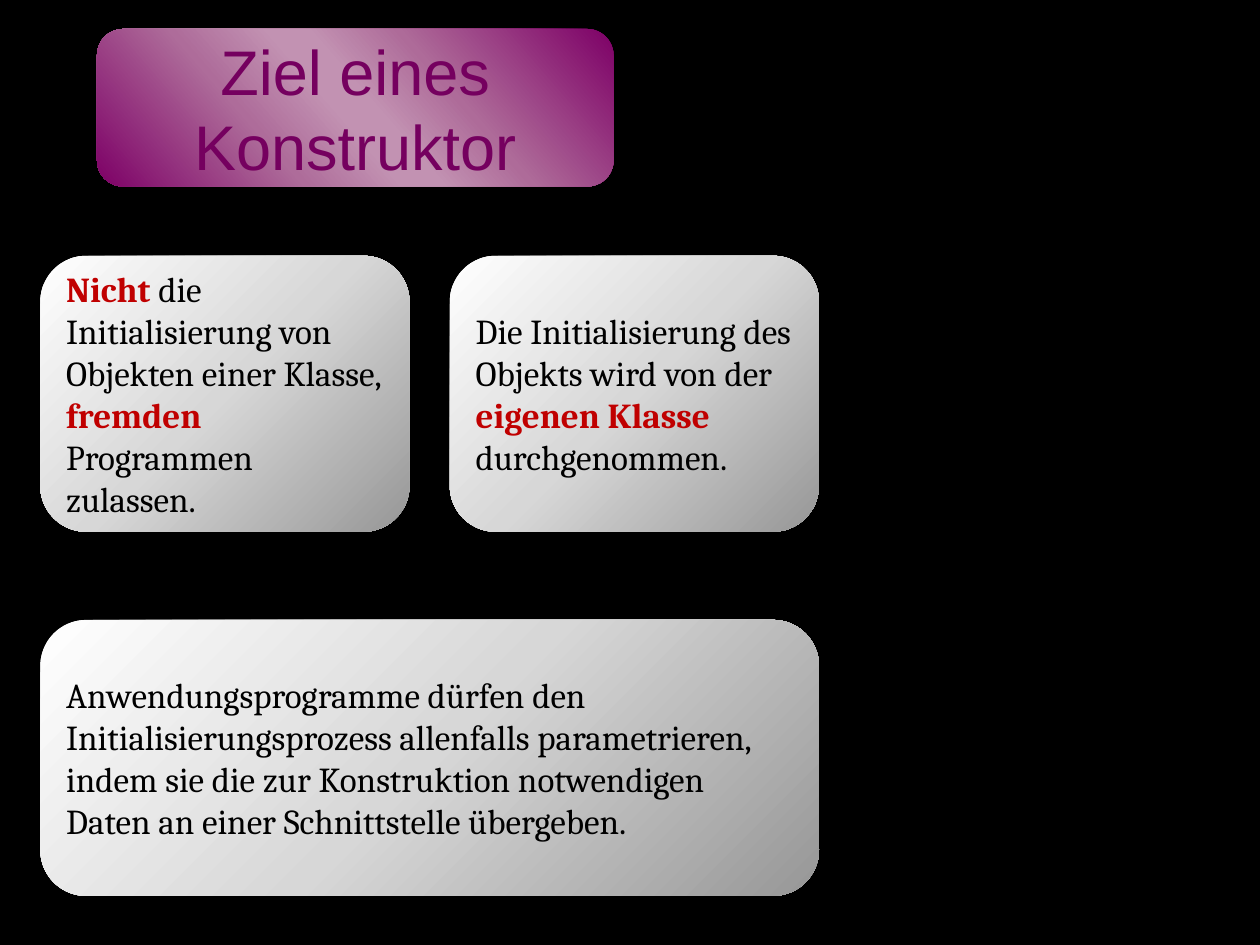
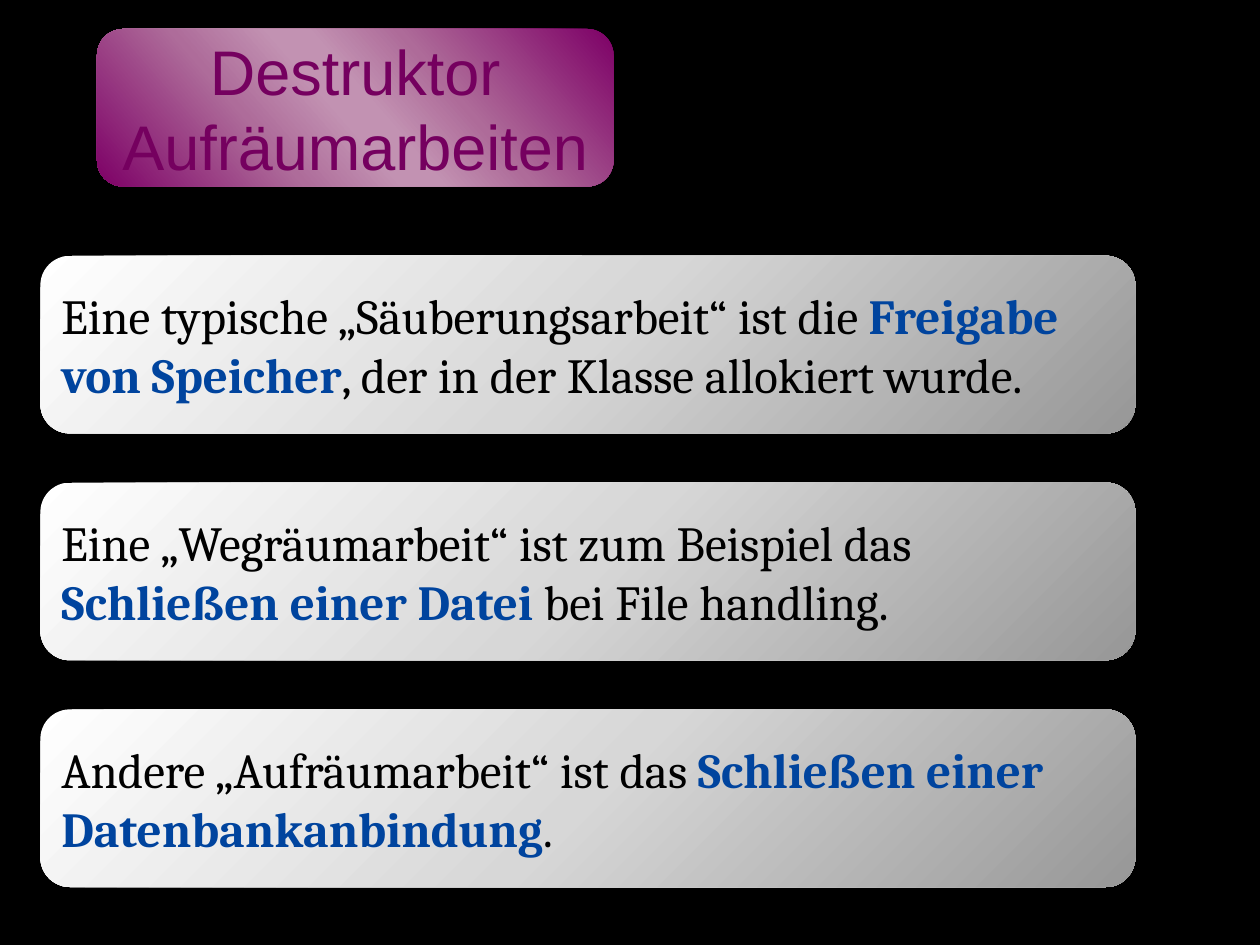
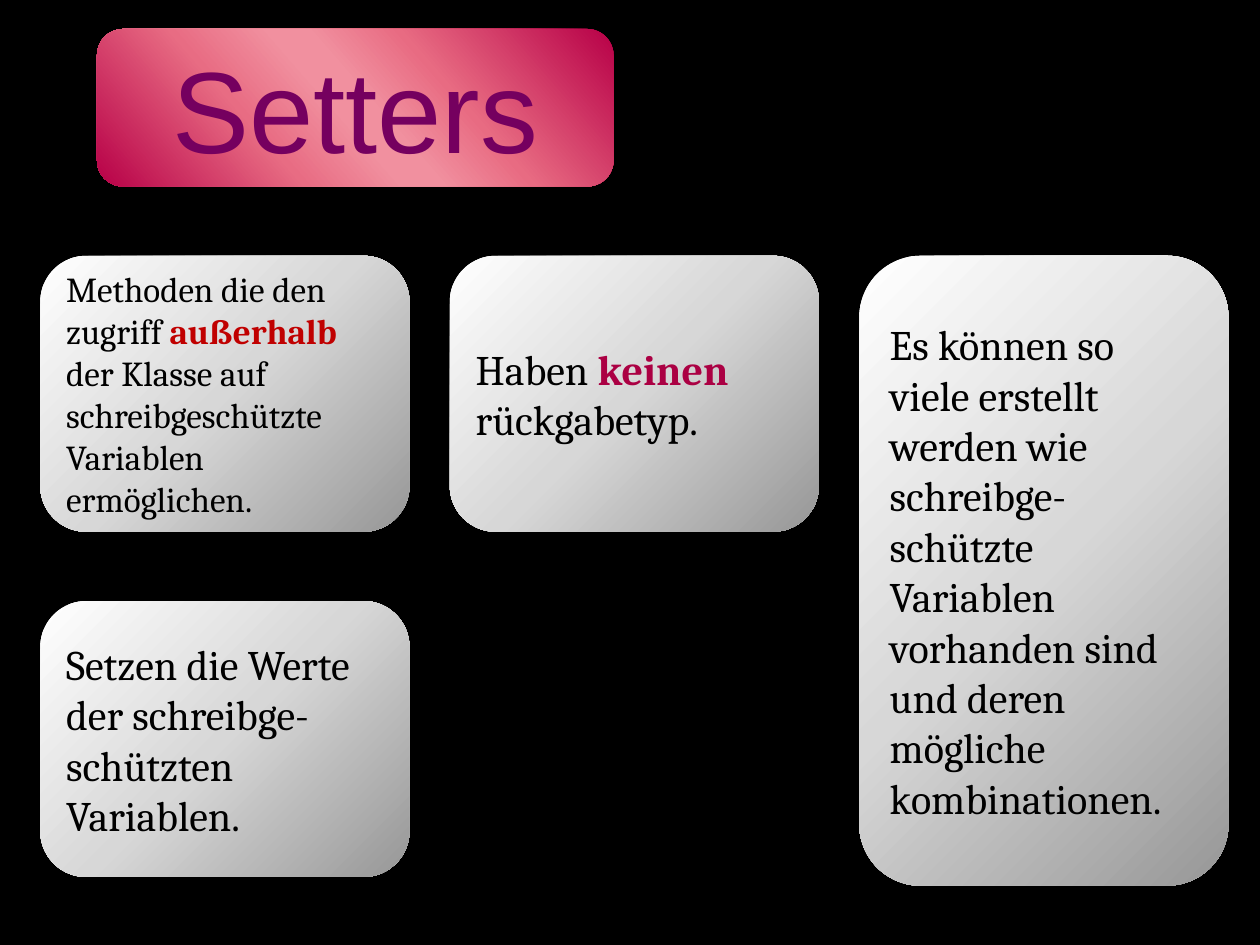
from pptx import Presentation
from pptx import util as u
from pptx.dml import color
from pptx.enum import shapes, text
from pptx.oxml import ns, parse_xml

COLOURS = {
    "background": "000000", "body": "000000", "title": "75005F",
    "red": "C00000", "blue": "00449E", "crimson": "AB0043",
}
PURPLE = [(0, "7D0066"), (33, "AE6B99"), (47, "C292B2"),
          (53, "C292B2"), (68, "AE6C9A"), (100, "7D0066")]
PINK = [(0, "B70047"), (33, "E86B82"), (47, "F1909F"),
        (53, "F1909F"), (68, "E86C83"), (100, "B70047")]
GREY = [(0, "979797"), (50, "D7D7D7"), (100, "FFFFFF")]
DIAGONAL = f'<a:lin ang="{139 * 60000}" scaled="0"/>'
FROM_CORNER = '<a:path path="circle"><a:fillToRect l="100000" t="100000"/></a:path>'

# Grid in inches: three columns, content starting at one top edge
LEFT, TOP, COLUMN, GAP = 0.32, 2.03, 2.93, 0.32
PITCH = COLUMN + GAP
CARD = 2.19
BAR_WIDTH, BAR_HEIGHT, BAR_PITCH = 8.69, 1.41, 1.8
TITLE_BOX = (0.77, 0.23, 4.1, 1.25)


def add_box(slide, box, stops, direction):
    """Rounded box with a gradient fill and no outline."""
    shape = slide.shapes.add_shape(
        shapes.MSO_SHAPE.ROUNDED_RECTANGLE, *[u.Inches(length) for length in box])
    shape.shadow.inherit = False
    shape.line.fill.background()
    shape.fill.background()
    stop_list = "".join(f'<a:gs pos="{position * 1000}"><a:srgbClr val="{value}"/></a:gs>'
                        for position, value in stops)
    gradient = parse_xml(f'<a:gradFill {ns.nsdecls("a")} rotWithShape="1">'
                         f'<a:gsLst>{stop_list}</a:gsLst>{direction}</a:gradFill>')
    properties = shape._element.spPr
    properties.replace(properties.find(ns.qn("a:noFill")), gradient)
    shape.text_frame.word_wrap = True
    shape.text_frame.vertical_anchor = text.MSO_ANCHOR.MIDDLE
    return shape


def style(paragraph, font_name, size, colour, alignment):
    paragraph.alignment = alignment
    paragraph.font.name = font_name
    paragraph.font.size = u.Pt(size)
    paragraph.font.color.rgb = color.RGBColor.from_string(COLOURS[colour])


# Each panel: box, text size, runs as (text, accent colour or None)
bars = [
    [("Eine typische „Säuberungsarbeit“ ist die ", None),
     ("Freigabe von Speicher", "blue"),
     (", der in der Klasse allokiert wurde.", None)],
    [("Eine „Wegräumarbeit“ ist zum Beispiel das ", None),
     ("Schließen einer Datei", "blue"),
     (" bei File handling.", None)],
    [("Andere „Aufräumarbeit“ ist das ", None),
     ("Schließen einer Datenbankanbindung", "blue"),
     (".", None)],
]
slides = [
    (["Ziel eines Konstruktor"], 36, PURPLE, [
        ((LEFT, TOP, COLUMN, CARD), 20,
         [("Nicht", "red"),
          (" die Initialisierung von Objekten einer Klasse, ", None),
          ("fremden", "red"),
          (" Programmen zulassen.", None)]),
        ((LEFT + PITCH, TOP, COLUMN, CARD), 20,
         [("Die Initialisierung des Objekts wird von der ", None),
          ("eigenen Klasse", "red"),
          (" durchgenommen.", None)]),
        ((LEFT, 4.92, PITCH + COLUMN, CARD), 20,
         [("Anwendungsprogramme dürfen den Initialisierungsprozess allenfalls "
           "parametrieren, indem sie die zur Konstruktion notwendigen Daten an "
           "einer Schnittstelle übergeben.", None)]),
    ]),
    (["Destruktor", "Aufräumarbeiten"], 36, PURPLE, [
        ((LEFT, TOP + row * BAR_PITCH, BAR_WIDTH, BAR_HEIGHT), 28, runs)
        for row, runs in enumerate(bars)
    ]),
    (["Setters"], 66, PINK, [
        ((LEFT, TOP, COLUMN, CARD), 20,
         [("Methoden die den zugriff ", None),
          ("außerhalb", "red"),
          (" der Klasse auf schreibgeschützte Variablen ermöglichen.", None)]),
        ((LEFT + PITCH, TOP, COLUMN, CARD), 24,
         [("Haben ", None), ("keinen", "crimson"), (" rückgabetyp.", None)]),
        ((LEFT + 2 * PITCH, TOP, COLUMN, 5), 24,
         [("Es können so viele erstellt werden wie schreibge-schützte Variablen "
           "vorhanden sind und deren mögliche kombinationen.", None)]),
        ((LEFT, 4.77, COLUMN, CARD), 24,
         [("Setzen die Werte der schreibge-schützten Variablen.", None)]),
    ]),
]

presentation = Presentation()
presentation.slide_width = u.Inches(10)
presentation.slide_height = u.Inches(7.5)

for title_lines, title_size, title_stops, panels in slides:
    slide = presentation.slides.add_slide(presentation.slide_layouts[6])
    slide.background.fill.solid()
    slide.background.fill.fore_color.rgb = color.RGBColor.from_string(COLOURS["background"])

    # Title band
    title = add_box(slide, TITLE_BOX, title_stops, DIAGONAL)
    title.text_frame.text = "\n".join(title_lines)
    for paragraph in title.text_frame.paragraphs:
        style(paragraph, "Arial", title_size, "title", text.PP_ALIGN.CENTER)

    # Text panels
    for box, size, runs in panels:
        panel = add_box(slide, box, GREY, FROM_CORNER)
        paragraph = panel.text_frame.paragraphs[0]
        style(paragraph, "Cambria", size, "body", text.PP_ALIGN.LEFT)
        for words, accent in runs:
            run = paragraph.add_run()
            run.text = words
            if accent:
                run.font.bold = True
                run.font.color.rgb = color.RGBColor.from_string(COLOURS[accent])

presentation.save("out.pptx")
